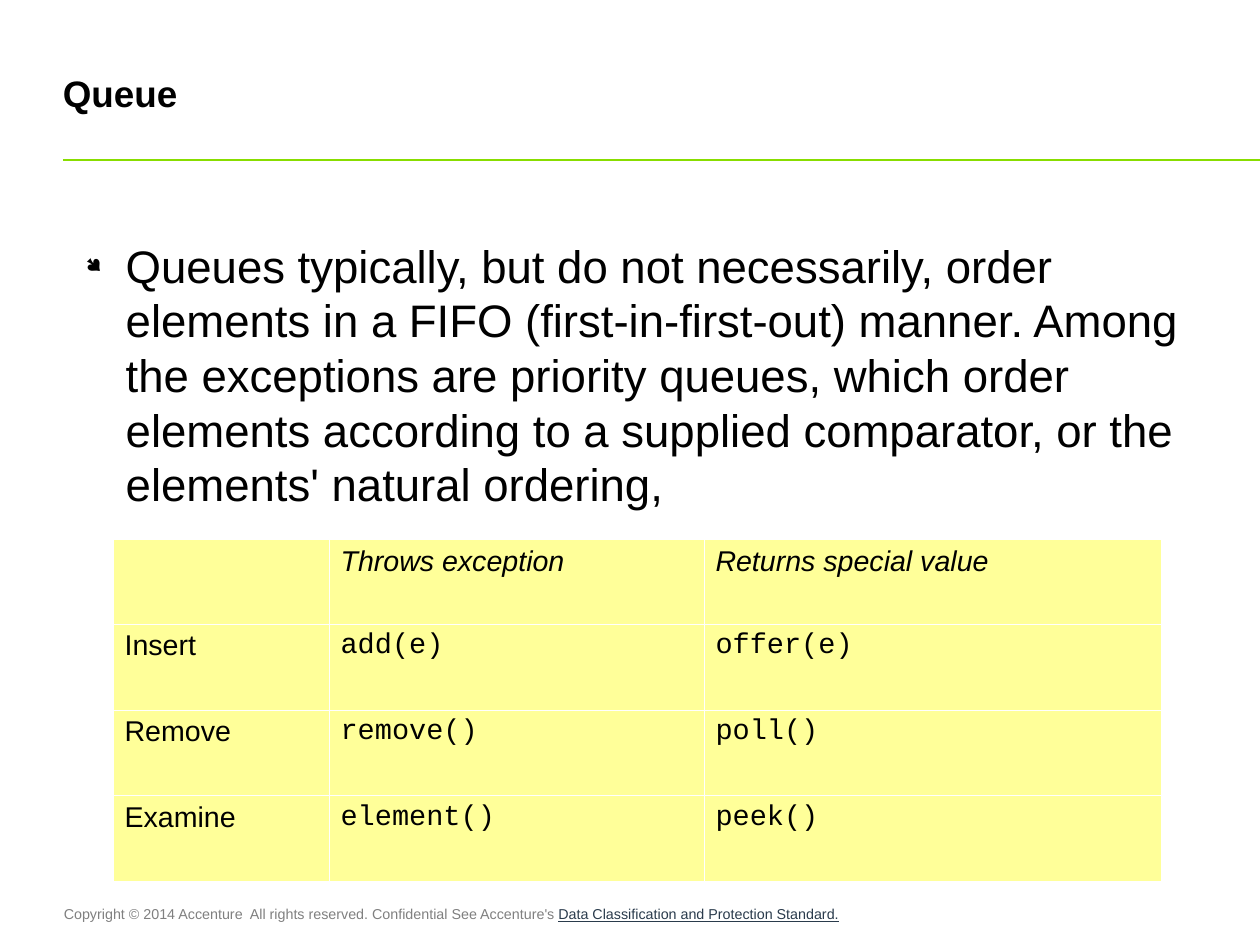
from lxml import etree
from pptx import Presentation
from pptx.dml.color import RGBColor
from pptx.enum.shapes import MSO_CONNECTOR
from pptx.enum.text import MSO_ANCHOR
from pptx.oxml.ns import qn
from pptx.util import Inches, Pt

COLORS = {
    "text": "000000",
    "rule": "88DD00",
    "cell": "FFFF99",
    "border": "FFFFFF",
    "footer": "808080",
    "link": "2A3B4C",
}
PAGE_WIDTH, PAGE_HEIGHT = 28 / 2.54, 21 / 2.54
COLUMN_WIDTHS = [1.89, 3.28, 4]
ROW_HEIGHTS = [0.74, 0.75, 0.75, 0.75]
QUEUE_METHODS = [
    ["", "Throws exception", "Returns special value"],
    ["Insert", "add(e)", "offer(e)"],
    ["Remove", "remove()", "poll()"],
    ["Examine", "element()", "peek()"],
]
QUEUE_ORDER = (
    "Queues typically, but do not necessarily, order elements in a FIFO "
    "(first-in-first-out) manner. Among the exceptions are priority queues, "
    "which order elements according to a supplied comparator, or the "
    "elements' natural ordering,"
)
COPYRIGHT = "Copyright © 2014 Accenture  All rights reserved. Confidential See Accenture's "
STANDARD = "Data Classification and Protection Standard."


def color(name):
    return RGBColor.from_string(COLORS[name])


def style(font, size, name="Arial", fill="text"):
    font.size = Pt(size)
    font.name = name
    font.color.rgb = color(fill)


def add_text_frame(page, box, margins=(0, 0)):
    frame = page.shapes.add_textbox(*map(Inches, box)).text_frame
    frame.word_wrap = True
    frame.margin_left = frame.margin_right = Inches(margins[0])
    frame.margin_top = frame.margin_bottom = Inches(margins[1])
    return frame


def add_title(page, box):
    frame = add_text_frame(page, box)
    frame.vertical_anchor = MSO_ANCHOR.MIDDLE
    para = frame.paragraphs[0]
    para.text = "Queue"
    style(para.font, 23.2)
    para.font.bold = True


def add_rule(page, left, top):
    rule = page.shapes.add_connector(
        MSO_CONNECTOR.STRAIGHT,
        Inches(left), Inches(top), Inches(PAGE_WIDTH), Inches(top),
    )
    rule.line.color.rgb = color("rule")
    rule.line.width = Pt(1)
    etree.SubElement(rule.element.spPr, qn("a:effectLst"))


def add_bullet(para, indent, hanging):
    properties = para._p.get_or_add_pPr()
    properties.set("marL", str(Inches(indent)))
    properties.set("indent", str(-Inches(hanging)))
    bullet_color = etree.SubElement(properties, qn("a:buClr"))
    etree.SubElement(bullet_color, qn("a:srgbClr"), val=COLORS["text"])
    etree.SubElement(properties, qn("a:buSzPct"), val="45000")
    etree.SubElement(properties, qn("a:buFont"), typeface="Wingdings", charset="2")
    etree.SubElement(properties, qn("a:buChar"), char="●")


def add_body(page, box):
    para = add_text_frame(page, box).paragraphs[0]
    para.text = QUEUE_ORDER
    add_bullet(para, 0.47, 0.35)
    style(para.font, 28.7)


def add_borders(cell):
    properties = cell._tc.get_or_add_tcPr()
    for position, side in enumerate(("lnL", "lnR", "lnT", "lnB")):
        border = etree.Element(qn(f"a:{side}"), w=str(Pt(0.06)))
        fill = etree.SubElement(border, qn("a:solidFill"))
        etree.SubElement(fill, qn("a:srgbClr"), val=COLORS["border"])
        properties.insert(position, border)


def add_method_table(page, left, top):
    table = page.shapes.add_table(
        len(ROW_HEIGHTS), len(COLUMN_WIDTHS), Inches(left), Inches(top),
        Inches(sum(COLUMN_WIDTHS)), Inches(sum(ROW_HEIGHTS)),
    ).table
    table.first_row = table.horz_banding = False
    for column, width in zip(table.columns, COLUMN_WIDTHS):
        column.width = Inches(width)
    for row, height in zip(table.rows, ROW_HEIGHTS):
        row.height = Inches(height)
    for row_index, texts in enumerate(QUEUE_METHODS):
        for column_index, text in enumerate(texts):
            cell = table.cell(row_index, column_index)
            cell.fill.solid()
            cell.fill.fore_color.rgb = color("cell")
            add_borders(cell)
            para = cell.text_frame.paragraphs[0]
            para.text = text
            is_code = row_index > 0 and column_index > 0
            style(para.font, 18, "Courier New" if is_code else "Arial")
            para.font.italic = row_index == 0


def add_footer(page, box):
    para = add_text_frame(page, box, (0.1, 0.05)).paragraphs[0]
    for text, fill in ((COPYRIGHT, "footer"), (STANDARD, "link")):
        span = para.add_run()
        span.text = text
        style(span.font, 9, fill=fill)
        span.font.underline = fill == "link"


def main():
    deck = Presentation()
    deck.slide_width = Inches(PAGE_WIDTH)
    deck.slide_height = Inches(PAGE_HEIGHT)
    page = deck.slides.add_slide(deck.slide_layouts[6])
    add_rule(page, 0.55, 1.4)
    add_footer(page, (0.46, 7.87, 10.06, 0.25))
    add_title(page, (0.55, 0.33, 9.92, 0.97))
    add_body(page, (0.63, 2.08, 9.92, 2.18))
    add_method_table(page, 0.99, 4.72)
    deck.save("out.pptx")


if __name__ == "__main__":
    main()
